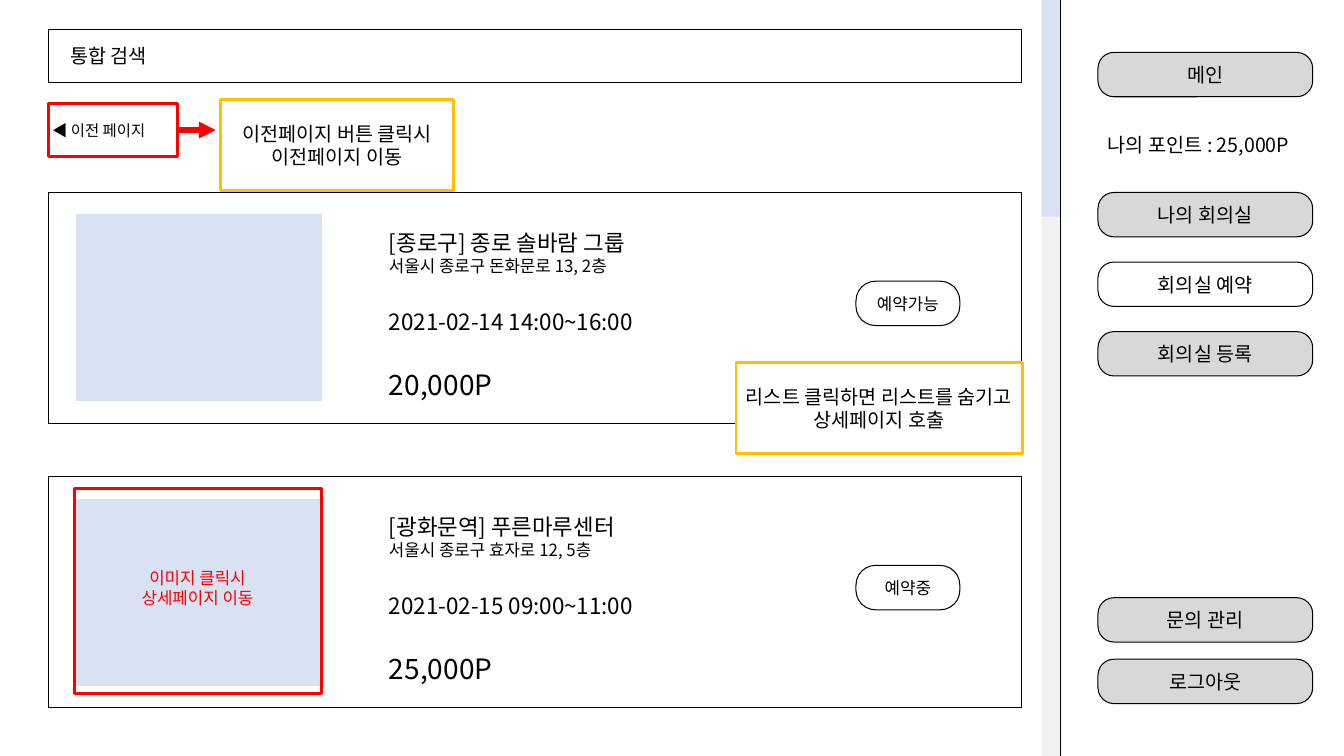
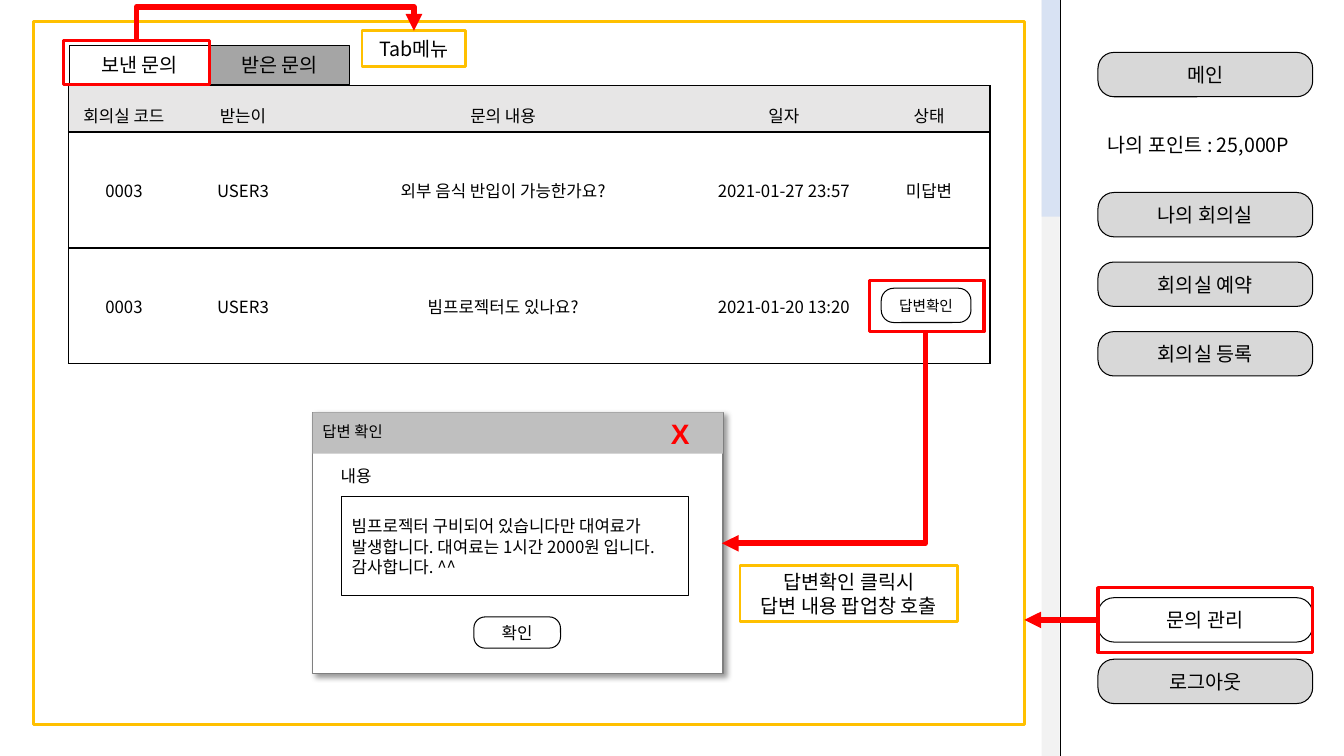
from lxml.etree import SubElement
from pptx import Presentation
from pptx.dml.color import RGBColor
from pptx.enum.shapes import MSO_CONNECTOR as CONN, MSO_SHAPE as SHAPE
from pptx.enum.text import MSO_ANCHOR as ANCHOR, PP_ALIGN as ALIGN
from pptx.oxml.ns import qn
from pptx.util import Pt

PX = 9144  # 100 px to the inch
FONT = "Noto Sans CJK KR"
BLACK = RGBColor(0x00, 0x00, 0x00)
WHITE = RGBColor(0xFF, 0xFF, 0xFF)
RED = RGBColor(0xFF, 0x00, 0x00)
AMBER = RGBColor(0xFF, 0xC0, 0x00)
PALE_BLUE = RGBColor(0xD8, 0xE2, 0xF3)
BUTTON_GRAY = RGBColor(0xD8, 0xD8, 0xD8)
TRACK_GRAY = RGBColor(0xF2, 0xF2, 0xF2)
HEADER_GRAY = RGBColor(0xE7, 0xE6, 0xE6)
TAB_GRAY = RGBColor(0xA5, 0xA5, 0xA5)
BAR_GRAY = RGBColor(0xBF, 0xBF, 0xBF)
EDGE_GRAY = RGBColor(0x7F, 0x7F, 0x7F)


def box(s, rect, text="", size=14, color=BLACK, fill=None, line=None, weight=0.75,
        radius=0, align=ALIGN.CENTER, anchor=ANCHOR.MIDDLE, font=FONT, bold=False):
    """Add a rectangle, rounded if radius is given; each text line is a paragraph."""
    x, y, w, h = (n * PX for n in rect)
    if fill is None and line is None:
        sp = s.shapes.add_textbox(x, y, w, h)
    else:
        sp = s.shapes.add_shape(SHAPE.ROUNDED_RECTANGLE if radius else SHAPE.RECTANGLE, x, y, w, h)
        sp.shadow.inherit = False
        if radius:
            sp.adjustments[0] = radius
        if fill is None:
            sp.fill.background()
        else:
            sp.fill.solid()
            sp.fill.fore_color.rgb = fill
        if line is None:
            sp.line.fill.background()
        else:
            sp.line.color.rgb = line
            sp.line.width = Pt(weight)
    if text:
        tf = sp.text_frame
        tf.word_wrap = True
        tf.vertical_anchor = anchor
        for i, words in enumerate(text.split("\n")):
            p = tf.add_paragraph() if i else tf.paragraphs[0]
            p.alignment = align
            r = p.add_run()
            r.text = words
            r.font.size = Pt(size)
            r.font.bold = bold
            r.font.name = font
            r.font.color.rgb = color
            SubElement(r.font._element, qn("a:ea"), typeface=font)
    return sp


def arrow(s, kind, x1, y1, x2, y2):
    c = s.shapes.add_connector(kind, x1 * PX, y1 * PX, x2 * PX, y2 * PX)
    c.line.color.rgb = RED
    c.line.width = Pt(4)
    SubElement(c.line._get_or_add_ln(), qn("a:tailEnd"), type="triangle")
    SubElement(c._element.spPr, qn("a:effectLst"))
    return c


prs = Presentation()
prs.slide_width, prs.slide_height = 1333 * PX, 750 * PX

LABEL = dict(align=ALIGN.LEFT, anchor=ANCHOR.TOP)
OUTLINED = dict(fill=WHITE, line=BLACK)
NOTE = dict(fill=WHITE, line=AMBER, weight=2)
HIGHLIGHT = dict(line=RED, weight=2.25)

# Shared sidebar and scroll bar
MENU = [("메인", 52), ("나의 회의실", 191), ("회의실 예약", 260),
        ("회의실 등록", 329), ("문의 관리", 593), ("로그아웃", 654)]
slides = []
for active in ("회의실 예약", "문의 관리"):
    s = prs.slides.add_slide(prs.slide_layouts[6])
    box(s, (1033, 0, 18, 750), fill=TRACK_GRAY)
    box(s, (1033, 0, 19, 215), fill=PALE_BLUE)
    divider = s.shapes.add_connector(CONN.STRAIGHT, 1052 * PX, 0, 1052 * PX, 750 * PX)
    divider.line.color.rgb = BLACK
    divider.line.width = Pt(0.75)
    SubElement(divider._element.spPr, qn("a:effectLst"))
    for name, y in MENU:
        box(s, (1089, y, 213, 44), name, line=BLACK, radius=0.36,
            fill=WHITE if name == active else BUTTON_GRAY)
    box(s, (1089, 127, 240, 34), "나의 포인트 : 25,000P", **LABEL)
    slides.append(s)
search, inquiry = slides

# Slide 1: room search
s = search
box(s, (48, 29, 965, 53), **OUTLINED)
box(s, (60, 39, 120, 34), "통합 검색", **LABEL)
box(s, (23, 111, 150, 37), "◀ 이전 페이지", size=11, fill=WHITE, radius=0.44)
back = box(s, (48, 103, 128, 52), line=RED, weight=2)
box(s, (219, 99, 231, 90), "이전페이지 버튼 클릭시\n이전페이지 이동", **NOTE)
arrow(s, CONN.STRAIGHT, 176, 129, 214, 129).begin_connect(back, 3)

ROOMS = [
    ("[종로구] 종로 솔바람 그룹", "서울시 종로구 돈화문로 13, 2층",
     "2021-02-14 14:00~16:00", "20,000P", "예약가능"),
    ("[광화문역] 푸른마루센터", "서울시 종로구 효자로 12, 5층",
     "2021-02-15 09:00~11:00", "25,000P", "예약중"),
]
for i, (*details, status) in enumerate(ROOMS):
    y = 191 + 282 * i
    box(s, (48, y, 965, 229), **OUTLINED)
    box(s, (75, y + 21, 245, 187), fill=PALE_BLUE, line=WHITE, weight=1)
    info = box(s, (376, y + 31, 460, 172), "\n".join(details), **LABEL)
    for p, size, gap in zip(info.text_frame.paragraphs, (16, 12, 16, 20), (0, 0, 23, 23)):
        p.runs[0].font.size = Pt(size)
        p.space_before = Pt(gap)
    box(s, (849, y + 88, 103, 44), status, size=12, radius=0.44, **OUTLINED)

box(s, (74, 485, 245, 203), line=RED, weight=2)
box(s, (88, 537, 216, 92), "이미지 클릭시\n상세페이지 이동", size=12, color=RED)
box(s, (730, 360, 284, 90), "리스트 클릭하면 리스트를 숨기고 상세페이지 호출", **NOTE)

# Slide 2: inquiries
s = inquiry
box(s, (69, 45, 139, 39), "보낸 문의", **OUTLINED)
box(s, (208, 45, 139, 39), "받은 문의", fill=TAB_GRAY, line=BLACK)

ROWS = [
    ("회의실 코드", "받는이", "문의 내용", "일자", "상태"),
    ("0003", "USER3", "외부 음식 반입이 가능한가요?", "2021-01-27 23:57", "미답변"),
    ("0003", "USER3", "빔프로젝터도 있나요?", "2021-01-20 13:20", ""),
]
COL_WIDTHS = (110, 126, 390, 167, 121)
ROW_HEIGHTS = (46, 115, 115)
table = s.shapes.add_table(3, 5, 68 * PX, 85 * PX, sum(COL_WIDTHS) * PX, sum(ROW_HEIGHTS) * PX).table
table.first_row = table.horz_banding = False
NO_STYLE = "{2D5ABB26-0587-4C30-8999-92F81FD0307C}"
table._tbl.tblPr.find(qn("a:tableStyleId")).text = NO_STYLE
for col, width in zip(table.columns, COL_WIDTHS):
    col.width = width * PX
for i, values in enumerate(ROWS):
    table.rows[i].height = ROW_HEIGHTS[i] * PX
    for j, value in enumerate(values):
        cell = table.cell(i, j)
        sides = ["lnL"] * (j == 0) + ["lnR"] * (j == 4) + ["lnT", "lnB"]
        for side in sides:
            ln = SubElement(cell._tc.get_or_add_tcPr(), qn("a:" + side), w="12700")
            SubElement(SubElement(ln, qn("a:solidFill")), qn("a:srgbClr"), val=str(BLACK))
        cell.fill.solid()
        cell.fill.fore_color.rgb = WHITE if i else HEADER_GRAY
        cell.vertical_anchor = ANCHOR.MIDDLE if i else ANCHOR.TOP
        p = cell.text_frame.paragraphs[0]
        p.alignment = ALIGN.CENTER
        p.line_spacing = 1.0 if i else 1.5
        if value:
            r = p.add_run()
            r.text = value
            r.font.size = Pt(12)
            r.font.name = FONT
            r.font.color.rgb = BLACK
            SubElement(r.font._element, qn("a:ea"), typeface=FONT)

# Answer popup
popup = box(s, (310, 409, 407, 259), fill=WHITE, line=EDGE_GRAY, weight=1)
shadow = SubElement(popup._element.spPr.find(qn("a:effectLst")), qn("a:outerShdw"),
                    blurRad="50800", dist="38100", dir="2700000", algn="tl", rotWithShape="0")
SubElement(SubElement(shadow, qn("a:srgbClr"), val=str(BLACK)), qn("a:alpha"), val="40000")
title_bar = box(s, (310, 409, 407, 41), "X", size=20, color=RED, fill=BAR_GRAY,
                align=ALIGN.RIGHT, font="Arial", bold=True)
title_bar.text_frame.margin_right = 33 * PX
box(s, (310, 414, 120, 29), "답변 확인", size=11, **LABEL)
box(s, (328, 457, 80, 30), "내용", size=12, **LABEL)
box(s, (339, 493, 344, 98),
    "빔프로젝터 구비되어 있습니다만 대여료가 발생합니다. 대여료는 1시간 2000원 입니다. 감사합니다. ^^",
    size=12, align=ALIGN.LEFT, **OUTLINED)
box(s, (470, 612, 86, 31), "확인", size=12, radius=0.36, **OUTLINED)
box(s, (874, 286, 89, 34), "답변확인", size=10.5, radius=0.36, **OUTLINED)

# Annotations
box(s, (33, 21, 983, 698), line=AMBER, weight=2)
menu_mark = box(s, (1089, 583, 213, 64), **HIGHLIGHT)
arrow(s, CONN.STRAIGHT, 1089, 615, 1016, 615).begin_connect(menu_mark, 1)
box(s, (862, 278, 114, 51), **HIGHLIGHT)
box(s, (734, 561, 216, 56), "답변확인 클릭시\n답변 내용 팝업창 호출", **NOTE)
box(s, (359, 30, 103, 36), "Tab메뉴", **NOTE)
box(s, (63, 40, 145, 44), **HIGHLIGHT)

# Elbows are laid out unrotated, then turned about their centres
to_popup = arrow(s, CONN.ELBOW, 712, 333, 922, 535)
to_popup._element.spPr.xfrm.set("rot", "5400000")
to_popup._element.spPr.find(qn("a:prstGeom")).set("prst", "bentConnector2")
to_tab = arrow(s, CONN.ELBOW, 268, -102, 278, 173)
to_tab._element.spPr.xfrm.set("rot", "16200000")
guides = to_tab._element.spPr.find(qn("a:prstGeom")).find(qn("a:avLst"))
if guides is None:
    guides = SubElement(to_tab._element.spPr.find(qn("a:prstGeom")), qn("a:avLst"))
SubElement(guides, qn("a:gd"), name="adj1", fmla="val 338100")

prs.save("out.pptx")
